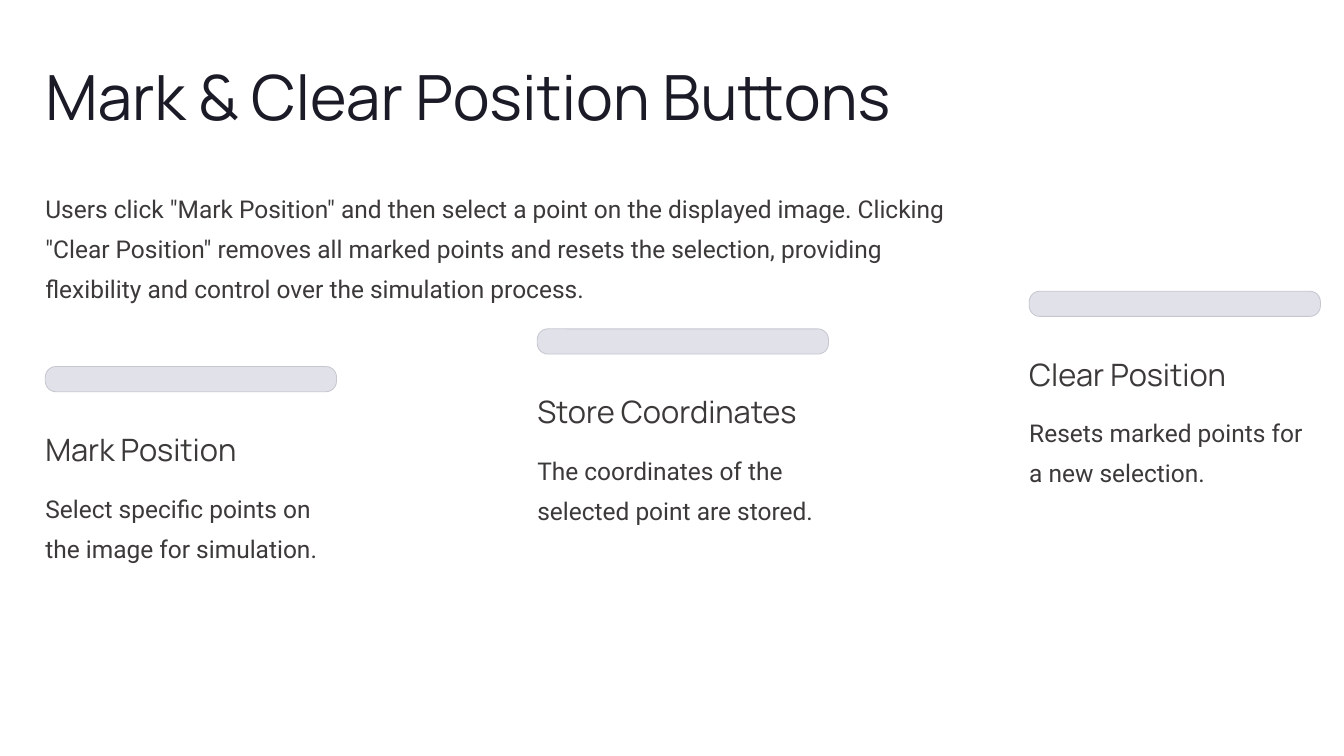
from pptx import Presentation
from pptx.dml.color import RGBColor
from pptx.enum.shapes import MSO_SHAPE
from pptx.util import Pt

ROUND = MSO_SHAPE.ROUNDED_RECTANGLE
INK, GREY, PALE, EDGE = "1B1B27", "3C3939", "E1E1EA", "C7C7D0"
HEAD, BODY = "Manrope", "Roboto"
LEFT = 32.4
STEPS = [
    ("Mark Position", "Select specific points on the image for simulation."),
    ("Store Coordinates", "The coordinates of the selected point are stored."),
    ("Clear Position", "Resets marked points for a new selection."),
]


def color(code):
    """Turn a hex string into a colour."""
    return RGBColor.from_string(code)


def write(slide, box, text, face, size, lead, tint=GREY):
    """Place one paragraph of text in a box without margins."""
    frame = slide.shapes.add_textbox(*map(Pt, box)).text_frame
    frame.margin_left = frame.margin_right = 0
    frame.margin_top = frame.margin_bottom = 0
    frame.word_wrap = True
    para = frame.paragraphs[0]
    para.text = text
    para.line_spacing = Pt(lead)
    para.font.name = face
    para.font.size = Pt(size)
    para.font.color.rgb = color(tint)


def intro(slide, x, y, width):
    """Place the title and the opening paragraph."""
    write(slide, (x, y, width, 56), "Mark & Clear Position Buttons",
          HEAD, 44.5, 55.5, INK)
    text = ('Users click "Mark Position" and then select a point on the '
            'displayed image. Clicking "Clear Position" removes all marked '
            'points and resets the selection, providing flexibility and '
            'control over the simulation process.')
    write(slide, (x, y + 91.5, width, 57), text, BODY, 17.5, 28.5)


def step(slide, x, y, width, title, text):
    """Place a bar with a heading and a short text below it."""
    bar = slide.shapes.add_shape(ROUND, Pt(x), Pt(y), Pt(width), Pt(18))
    bar.adjustments[0] = 0.42
    bar.shadow.inherit = False
    bar.fill.solid()
    bar.fill.fore_color.rgb = color(PALE)
    bar.line.color.rgb = color(EDGE)
    bar.line.width = Pt(0.6)
    write(slide, (x, y + 44.7, width, 28), title, HEAD, 22, 27.5)
    write(slide, (x, y + 83.3, width, 57), text, BODY, 17.5, 28.5)


def main():
    """Build and save the slide."""
    deck = Presentation()
    deck.slide_width, deck.slide_height = Pt(960), Pt(540)
    slide = deck.slides.add_slide(deck.slide_layouts[6])
    intro(slide, LEFT, 39.6, 659)
    for i, (title, text) in enumerate(STEPS):
        step(slide, LEFT + 351.4 * i, 261.8 - 26.9 * i, 208, title, text)
    deck.save("out.pptx")


if __name__ == "__main__":
    main()
